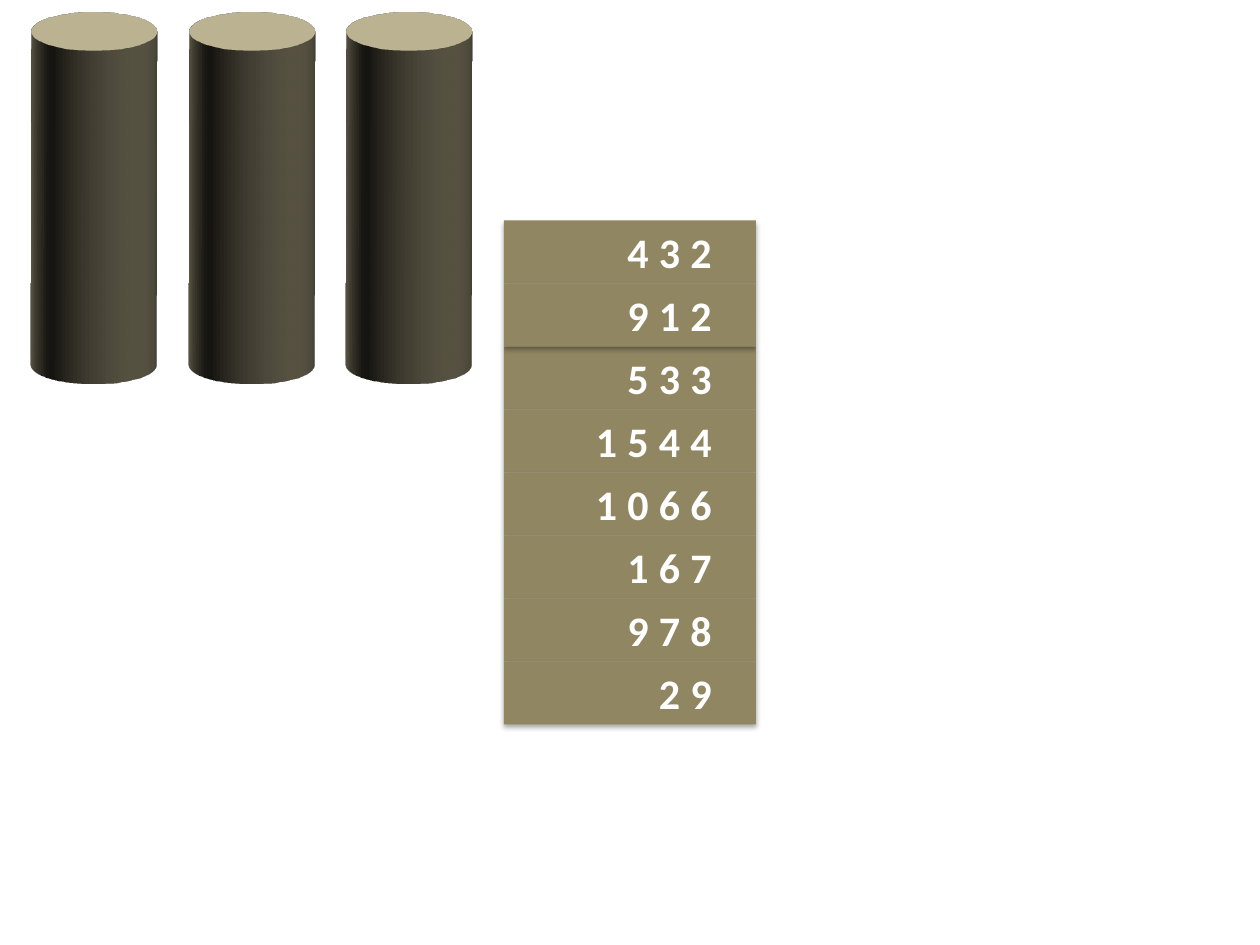
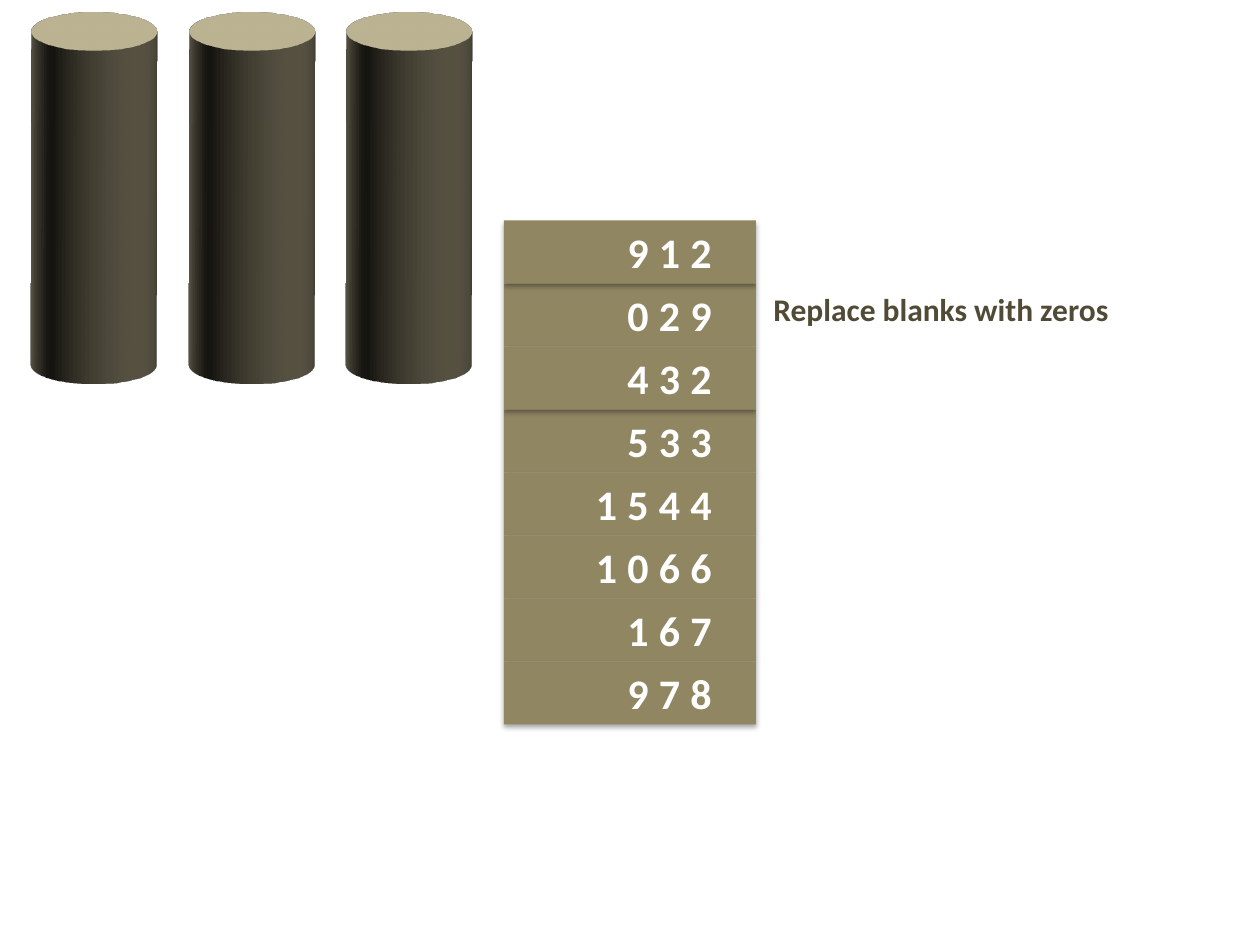
"""Builds two slides of a radix sort: number rows beside three cylinders."""
from dataclasses import dataclass

from lxml import etree
from pptx import Presentation
from pptx import util as u
from pptx.dml.color import RGBColor
from pptx.enum import shapes, text
from pptx.oxml import ns


@dataclass(frozen=True)
class Theme:
    font: str = "Calibri"
    row: str = "908662"
    rod: str = "A89F80"
    ink: str = "504A36"
    white: str = "FFFFFF"
    black: str = "000000"
    digit: int = 24
    note: int = 18


class Deck:
    def __init__(self, theme):
        self.theme = theme
        self.prs = Presentation()
        self.prs.slide_width, self.prs.slide_height = u.Pt(720), u.Pt(540)
        self.blank = self.prs.slide_layouts[6]
        self.page()
        for i in range(3):
            self.rod(18 + 90 * i)

    def page(self):
        self.slide = self.prs.slides.add_slide(self.blank)

    def shape(self, kind, box, fill):
        form = self.slide.shapes.add_shape(kind, *map(u.Pt, box))
        form.shadow.inherit = False
        form.fill.solid()
        form.fill.fore_color.rgb = RGBColor.from_string(fill)
        form.line.fill.background()
        return form

    def style(self, frame, words, size, color):
        frame.text = words
        frame.word_wrap = True
        para = frame.paragraphs[0]
        para.alignment = text.PP_ALIGN.LEFT
        font = para.runs[0].font
        font.name, font.size, font.bold = self.theme.font, u.Pt(size), True
        font.color.rgb = RGBColor.from_string(color)

    def rod(self, left):
        form = self.shape(shapes.MSO_SHAPE.OVAL, (left, -18, 72, 72), self.theme.rod)
        form.line.color.rgb = RGBColor.from_string(self.theme.rod)
        form.line.width = u.Pt(2)
        props = form.element.spPr
        scene = etree.SubElement(props, ns.qn("a:scene3d"))
        etree.SubElement(scene, ns.qn("a:camera"), prst="isometricOffAxis1Top")
        etree.SubElement(scene, ns.qn("a:lightRig"), rig="threePt", dir="t")
        etree.SubElement(props, ns.qn("a:sp3d"), extrusionH=str(u.Pt(200)))
        self.blank.shapes.element.append(form.element)

    def row(self, index, number):
        top = 126 + 36 * index
        form = self.shape(shapes.MSO_SHAPE.RECTANGLE, (288, top, 144, 36), self.theme.row)
        glow = etree.SubElement(
            form.element.spPr.find(ns.qn("a:effectLst")), ns.qn("a:outerShdw"),
            blurRad=str(u.Pt(3.1)), dist=str(u.Pt(1.8)), dir=str(90 * 60000),
            rotWithShape="0")
        tint = etree.SubElement(glow, ns.qn("a:srgbClr"), val=self.theme.black)
        etree.SubElement(tint, ns.qn("a:alpha"), val="35000")
        for place, digit in enumerate(number, 4 - len(number)):
            self.digit(index, place, digit)

    def digit(self, index, place, digit):
        box = (333.36 + 18 * place, 126 + 36 * index, 18, 36)
        frame = self.slide.shapes.add_textbox(*map(u.Pt, box)).text_frame
        self.style(frame, digit, self.theme.digit, self.theme.white)
        frame.vertical_anchor = text.MSO_ANCHOR.MIDDLE
        frame.auto_size = text.MSO_AUTO_SIZE.SHAPE_TO_FIT_TEXT

    def note(self, words):
        form = self.shape(shapes.MSO_SHAPE.RECTANGLE, (434.88, 162, 216, 72), self.theme.white)
        self.style(form.text_frame, words, self.theme.note, self.theme.ink)
        form.text_frame.vertical_anchor = text.MSO_ANCHOR.TOP

    def rows(self, numbers, order):
        for index in order:
            self.row(index, numbers[index])


deck = Deck(Theme())

deck.rows(["432", "912", "533", "1544", "1066", "167", "978", "29"],
          [2, 3, 4, 5, 6, 7, 0, 1])

deck.page()
deck.rows(["912", "29", "432", "533", "1544", "1066", "167", "978"],
          [3, 4, 5, 6, 7, 1, 2, 0])
deck.note("Replace blanks with zeros")
deck.digit(1, 1, "0")

deck.prs.save("out.pptx")
